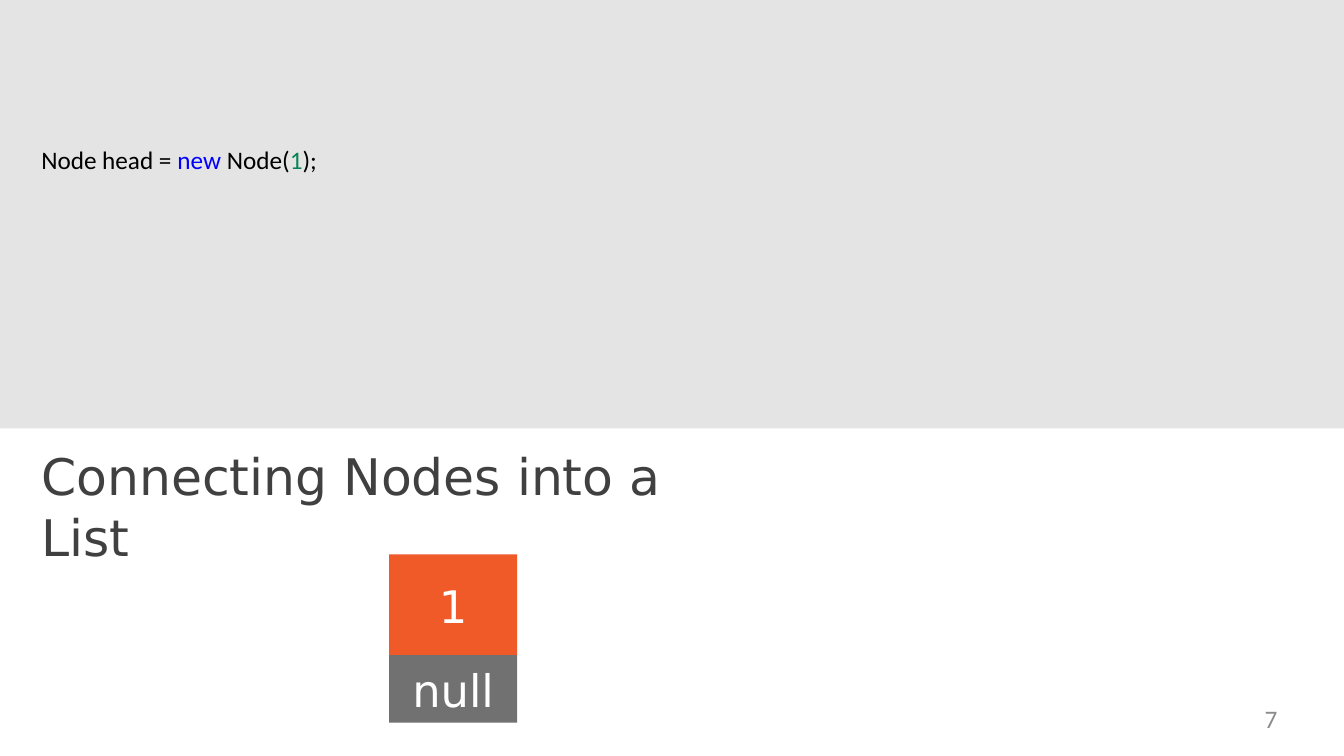
from pptx import Presentation
from pptx.dml.color import RGBColor
from pptx.enum.shapes import MSO_SHAPE
from pptx.enum.text import MSO_ANCHOR, PP_ALIGN
from pptx.util import Inches, Pt

BLACK = RGBColor(0x00, 0x00, 0x00)
BLUE = RGBColor(0x00, 0x00, 0xFF)
GREEN = RGBColor(0x08, 0x85, 0x57)
WHITE = RGBColor(0xFF, 0xFF, 0xFF)
PALE = RGBColor(0xE4, 0xE4, 0xE4)
DARK = RGBColor(0x40, 0x40, 0x40)
ORANGE = RGBColor(0xEF, 0x5A, 0x28)
GRAY = RGBColor(0x71, 0x71, 0x71)
SILVER = RGBColor(0x8C, 0x8C, 0x8C)

deck = Presentation()
deck.slide_width = Inches(13.33)
deck.slide_height = Inches(7.5)
slide = deck.slides.add_slide(deck.slide_layouts[5])
shapes = slide.shapes


def add_rect(left, top, width, height, color):
    rect = shapes.add_shape(MSO_SHAPE.RECTANGLE, Inches(left), Inches(top),
                            Inches(width), Inches(height))
    rect.shadow.inherit = False
    rect.fill.solid()
    rect.fill.fore_color.rgb = color
    rect.line.fill.background()
    return rect


def set_text(shape, parts, name, size, align, anchor=MSO_ANCHOR.TOP):
    frame = shape.text_frame
    frame.margin_left = frame.margin_right = frame.margin_bottom = 0
    frame.margin_top = Inches(0.01)
    frame.word_wrap = True
    frame.vertical_anchor = anchor
    para = frame.paragraphs[0]
    para.alignment = align
    para.font.name = name
    para.font.size = Pt(size)
    for text, color in parts:
        run = para.add_run()
        run.text = text
        run.font.color.rgb = color


# Code panel
add_rect(0, 0, 13.33, 4.25, PALE)
code = shapes.add_textbox(Inches(0.41), Inches(1.42), Inches(4), Inches(0.33))
set_text(code, [("Node head = ", BLACK), ("new ", BLUE), ("Node(", BLACK),
                ("1", GREEN), (");", BLACK)], "Calibri", 18, PP_ALIGN.LEFT)

# Title
title = shapes.title
title.left, title.top = Inches(0.41), Inches(4.41)
title.width, title.height = Inches(7.15), Inches(1.2)
set_text(title, [("Connecting Nodes into a List", DARK)],
         "DejaVu Sans", 36, PP_ALIGN.LEFT)

# List node: value above, next pointer below
for text, top, height, color in [("1", 5.5, 1, ORANGE), ("null", 6.5, 0.67, GRAY)]:
    cell = add_rect(3.86, top, 1.27, height, color)
    set_text(cell, [(text, WHITE)], "DejaVu Sans", 32, PP_ALIGN.CENTER,
             MSO_ANCHOR.MIDDLE)

# Page number
page = shapes.add_textbox(Inches(9.6), Inches(6.97), Inches(3.07), Inches(0.38))
set_text(page, [("7", SILVER)], "Calibri", 18, PP_ALIGN.RIGHT)

deck.save("out.pptx")
